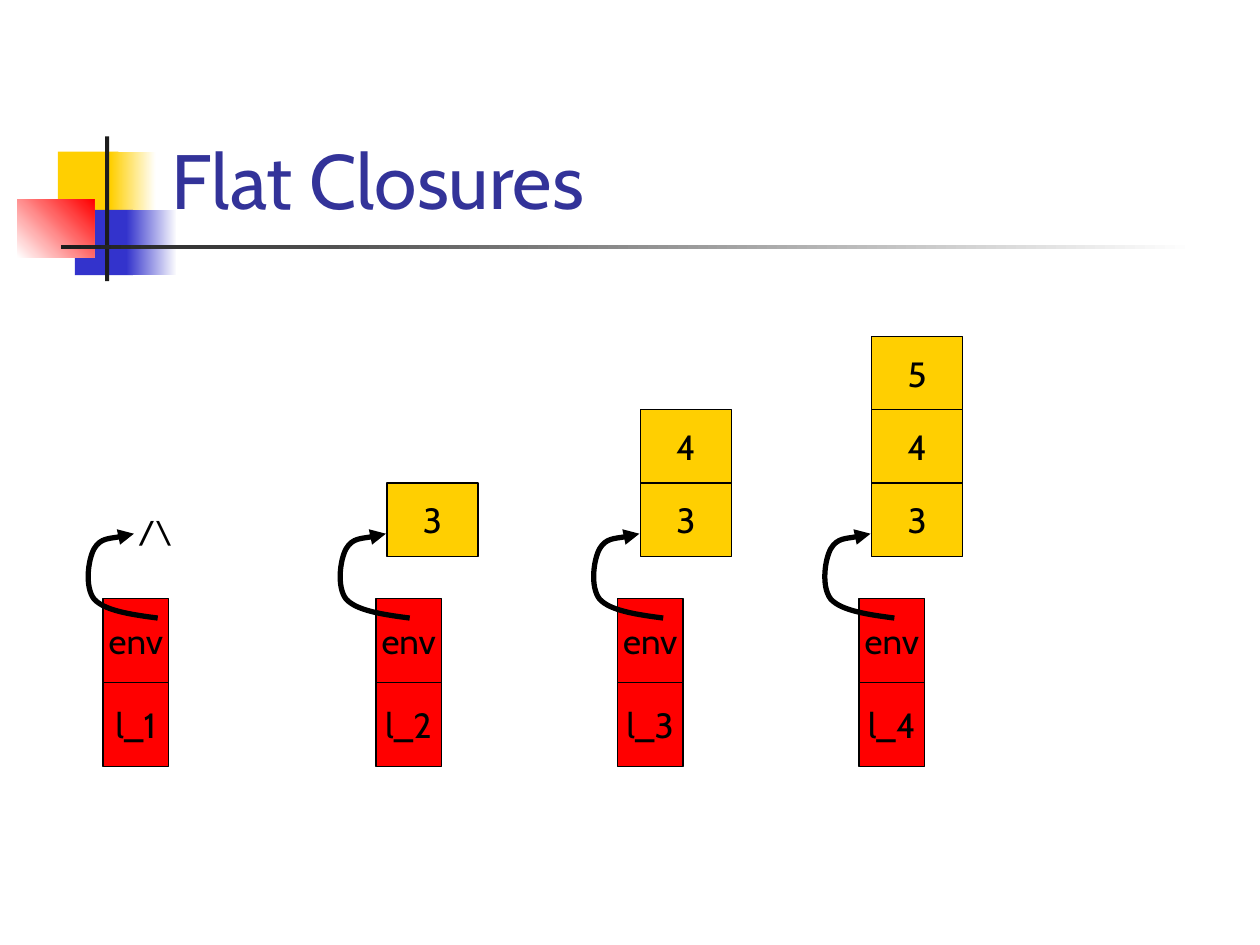
from pptx import Presentation
from pptx.dml.color import RGBColor
from pptx.enum.shapes import MSO_SHAPE as Preset
from pptx.enum.text import MSO_ANCHOR as Anchor, PP_ALIGN as Align
from pptx.oxml.ns import qn
from pptx.util import Cm, Pt
from lxml import etree

FONT = "Cabin"
BLACK, WHITE, DARK = "000000", "FFFFFF", "1C1C1C"
YELLOW, BLUE, RED, TITLE_BLUE = "FFCF01", "3333CC", "FF0000", "333399"

CELL_W, CELL_H = 1.84, 1.48          # captured values
CLOSURE_W, CLOSURE_H = 1.32, 1.69    # env and label cells
STACK_BOTTOM, CLOSURE_TOP = 11.22, 12.07

# Pointer from env to its values, in cm: start, then three points per cubic curve
POINTER_START = (1.48, 1.7)
POINTER_CURVES = [
    (0.94, 1.63), (0.41, 1.55), (0.2, 1.32),
    (0, 1.07), (0.08, 0.51), (0.2, 0.3),
    (0.33, 0.08), (0.86, 0.05), (1.0, 0),
]


def color(hex_text):
    return RGBColor.from_string(hex_text)


def write(shape, text, size=20, hue=BLACK, align=Align.CENTER,
          anchor=Anchor.MIDDLE, wrap=False):
    frame = shape.text_frame
    frame.word_wrap = wrap
    frame.vertical_anchor = anchor
    para = frame.paragraphs[0]
    para.alignment = align
    span = para.add_run()
    span.text = text
    span.font.name = FONT
    span.font.size = Pt(size)
    span.font.color.rgb = color(hue)


def add_box(page, left, top, width, height, fill, fade=None, angle=0, border=False):
    """Rectangle filled with one colour, or fading from fill to fade."""
    box = page.shapes.add_shape(Preset.RECTANGLE, Cm(left), Cm(top), Cm(width), Cm(height))
    box.shadow.inherit = False
    if fade:
        box.fill.gradient()
        box.fill.gradient_angle = angle
        for position, (stop, hue) in enumerate(zip(box.fill.gradient_stops, (fill, fade))):
            stop.color.rgb = color(hue)
            stop.position = position
    else:
        box.fill.solid()
        box.fill.fore_color.rgb = color(fill)
    if border:
        box.line.color.rgb = color(BLACK)
        box.line.width = Pt(0.75)
    else:
        box.line.fill.background()
    return box


def add_label(page, text, left, top, width, height, **style):
    box = page.shapes.add_textbox(Cm(left), Cm(top), Cm(width), Cm(height))
    write(box, text, align=Align.LEFT, wrap=True, **style)


def add_header(page, left, top, title):
    # Overlapping coloured squares
    add_box(page, left + 0.82, top + 0.31, 1.22, 1.32, YELLOW)
    add_box(page, left + 1.88, top + 0.31, 0.91, 1.32, YELLOW, fade=WHITE)
    add_box(page, left + 1.16, top + 1.48, 1.17, 1.32, BLUE)
    add_box(page, left + 2.2, top + 1.48, 1.02, 1.32, BLUE, fade=WHITE)
    add_box(page, left, top + 1.27, 1.55, 1.17, WHITE, fade=RED, angle=45)
    # Crossing rules
    add_box(page, left + 1.77, top, 0.08, 2.92, DARK)
    add_box(page, left + 0.88, top + 2.19, 22.86, 0.09, DARK, fade=WHITE)
    # Title
    add_label(page, title, left + 2.86, top - 2.16, 21.64, 4.06,
              size=44, hue=TITLE_BLUE, anchor=Anchor.BOTTOM)


def bend(path):
    """Turn each three line points of the outline into one cubic curve."""
    lines = path.findall(qn("a:lnTo"))
    for first in range(0, len(lines), 3):
        curve = etree.SubElement(path, qn("a:cubicBezTo"))
        for line in lines[first:first + 3]:
            curve.append(line[0])
            path.remove(line)


def add_pointer(page, left, top):
    def place(point):
        return Cm(left + point[0]), Cm(top + point[1])

    builder = page.shapes.build_freeform(*place(POINTER_START))
    builder.add_line_segments([place(point) for point in POINTER_CURVES], close=False)
    pointer = builder.convert_to_shape()
    bend(next(pointer.element.iter(qn("a:path"))))
    pointer.shadow.inherit = False
    pointer.fill.background()
    pointer.line.color.rgb = color(BLACK)
    pointer.line.width = Pt(3)
    outline = next(pointer.element.iter(qn("a:ln")))
    etree.SubElement(outline, qn("a:round"))
    etree.SubElement(outline, qn("a:tailEnd"), type="triangle")


def add_closure(page, left, stack_left, label, values):
    # Captured values, stacked upwards
    for level, value in enumerate(values, start=1):
        cell = add_box(page, stack_left, STACK_BOTTOM - level * CELL_H,
                       CELL_W, CELL_H, YELLOW, border=True)
        write(cell, value)
    if not values:
        add_label(page, "/\\", stack_left - 0.18, STACK_BOTTOM - 1.03, 2.34, 1.02,
                  size=18, anchor=Anchor.TOP)
    # Closure record
    for row, text in enumerate(("env", label)):
        cell = add_box(page, left, CLOSURE_TOP + row * CLOSURE_H,
                       CLOSURE_W, CLOSURE_H, RED, border=True)
        write(cell, text)
    add_pointer(page, stack_left - 1.02, STACK_BOTTOM - 0.46)


def main():
    deck = Presentation()
    deck.slide_width, deck.slide_height = Cm(25.4), Cm(19.05)
    page = deck.slides.add_slide(deck.slide_layouts[6])
    add_header(page, 0.35, 2.75, "Flat Closures")
    captured = ("3", "4", "5")
    positions = [(2.08, 2.72), (7.58, 7.8), (12.45, 12.91), (17.32, 17.57)]
    for count, (left, stack_left) in enumerate(positions):
        add_closure(page, left, stack_left, f"l_{count + 1}", captured[:count])
    deck.save("out.pptx")


if __name__ == "__main__":
    main()
